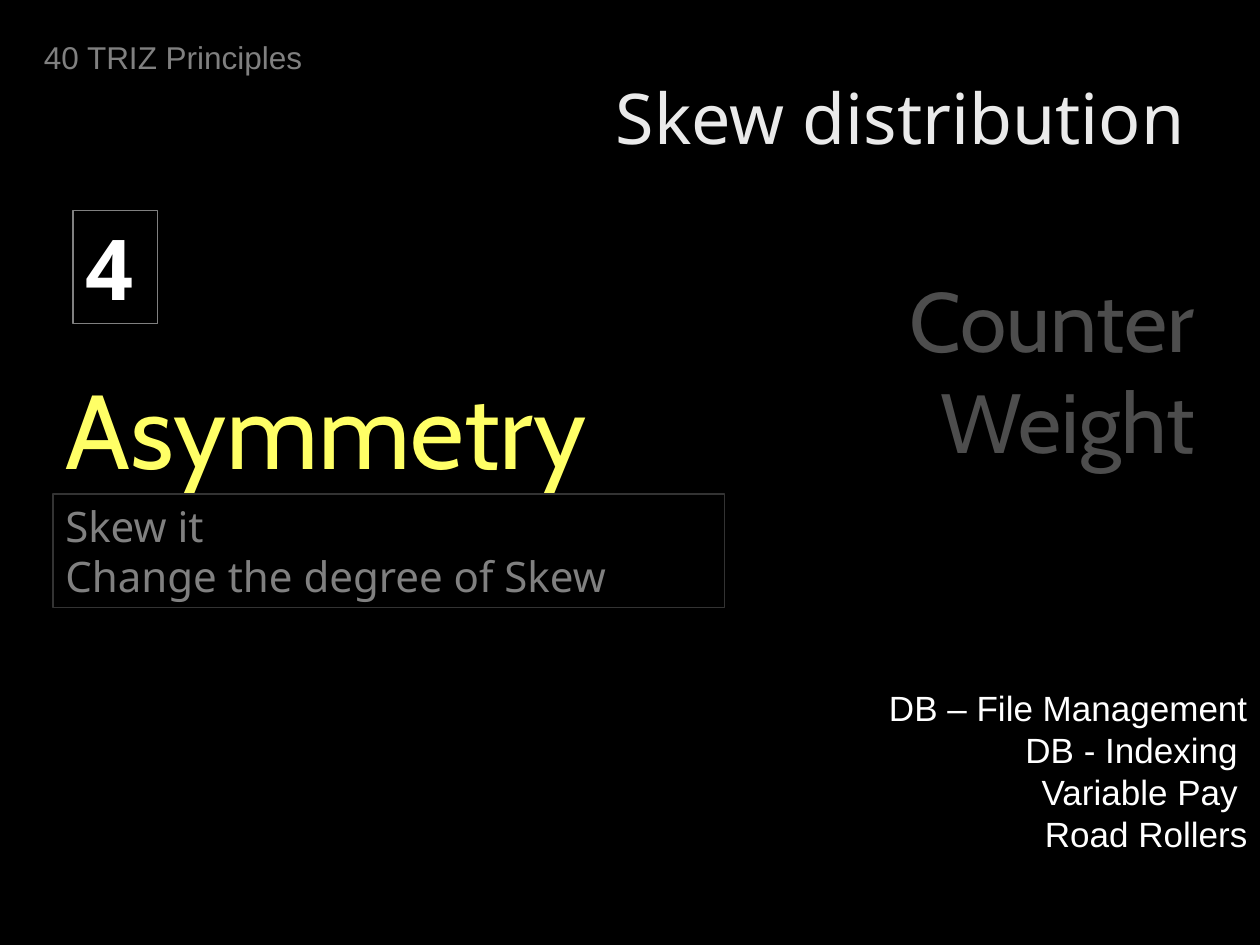
from pptx import Presentation
from pptx.dml.color import RGBColor
from pptx.enum.shapes import MSO_SHAPE
from pptx.enum.text import MSO_ANCHOR, PP_ALIGN
from pptx.util import Inches, Pt

RECTANGLE = MSO_SHAPE.RECTANGLE
TOP, MIDDLE = MSO_ANCHOR.TOP, MSO_ANCHOR.MIDDLE
LEFT, RIGHT = PP_ALIGN.LEFT, PP_ALIGN.RIGHT

THEME = {
    "background": "000000",
    "frame_width": 0.75,
    "styles": {
        "title": ("EAEAEA", {"name": "Noto Sans", "size": Pt(40)}),
        "series": ("808080", {"name": "Arial", "size": Pt(18)}),
        "principle": ("FFFF66", {"name": "Cabin", "size": Pt(60)}),
        "examples": ("FFFFFF", {"name": "Arial", "size": Pt(20)}),
        "advice": ("808080", {"name": "Noto Sans", "size": Pt(24)}),
        "number": ("FFFFFF", {"name": "Noto Sans", "size": Pt(48), "bold": True}),
        "neighbour": ("4D4D4D", {"name": "Cabin", "size": Pt(48)}),
    },
    "frames": {"advice": "333333", "number": "808080"},
}

CONTENT = {
    "title": ["Skew distribution"],
    "series": ["40 TRIZ Principles"],
    "principle": ["Asymmetry"],
    "examples": ["DB – File Management", "DB - Indexing ", "Variable Pay ", "Road Rollers"],
    "advice": ["Skew it", "Change the degree of Skew"],
    "number": ["4"],
    "neighbour": ["Counter Weight"],
}

PLACES = {
    "title": (2.17, 0.3, 7.33, 1.25),
    "series": (0.25, 0.25, 2.5, 0.4),
    "principle": (0.42, 2.84, 8.25, 1.1),
    "examples": (5.88, 5.4, 4.12, 1.44),
    "advice": (0.42, 3.92, 5.33, 0.9),
    "number": (0.58, 1.67, 0.67, 0.9),
    "neighbour": (5, 2.08, 4.58, 1.7),
}

RIGHT_ALIGNED = {"title", "examples", "neighbour"}
CENTRED_VERTICALLY = {"title"}


def add_holder(slide, part):
    """Add a framed rectangle or a plain text box for one part."""
    place = [Inches(length) for length in PLACES[part]]
    if part not in THEME["frames"]:
        return slide.shapes.add_textbox(*place)
    frame = slide.shapes.add_shape(RECTANGLE, *place)
    frame.shadow.inherit = False
    frame.fill.background()
    frame.line.color.rgb = RGBColor.from_string(THEME["frames"][part])
    frame.line.width = Pt(THEME["frame_width"])
    return frame


def write(holder, part):
    """Write the lines of one part in its own style."""
    body = holder.text_frame
    body.word_wrap = True
    body.vertical_anchor = MIDDLE if part in CENTRED_VERTICALLY else TOP
    body.text = "\n".join(CONTENT[part])
    color, font_format = THEME["styles"][part]
    for paragraph in body.paragraphs:
        paragraph.alignment = RIGHT if part in RIGHT_ALIGNED else LEFT
        for attribute, value in font_format.items():
            setattr(paragraph.font, attribute, value)
        paragraph.font.color.rgb = RGBColor.from_string(color)


def main():
    """Build the Asymmetry slide."""
    deck = Presentation()
    deck.slide_width, deck.slide_height = Inches(10), Inches(7.5)
    slide = deck.slides.add_slide(deck.slide_layouts[6])
    backdrop = slide.background.fill
    backdrop.solid()
    backdrop.fore_color.rgb = RGBColor.from_string(THEME["background"])
    for part in CONTENT:
        write(add_holder(slide, part), part)
    deck.save("out.pptx")


if __name__ == "__main__":
    main()
